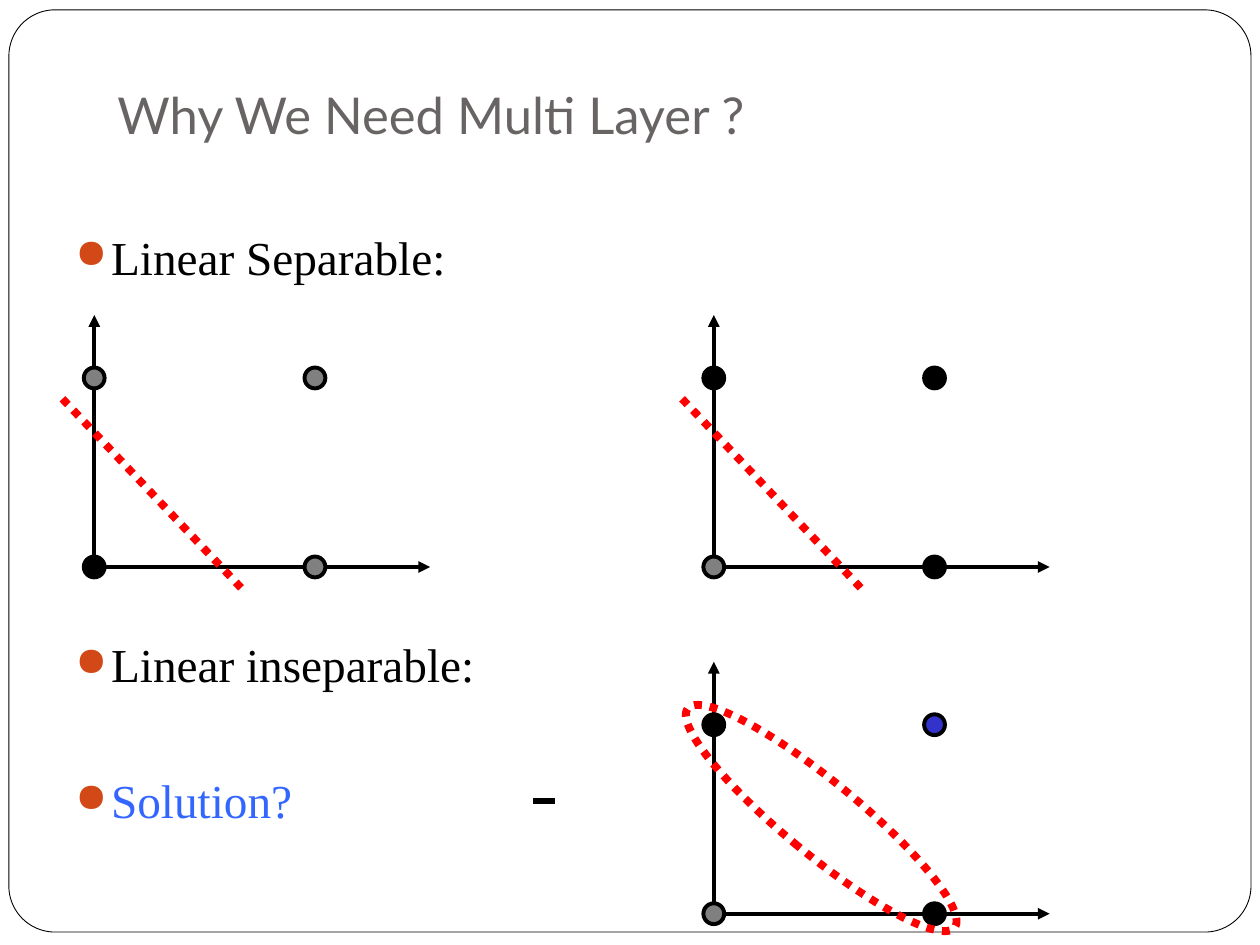
from dataclasses import dataclass

from lxml import etree
from pptx import Presentation
from pptx.dml.color import RGBColor
from pptx.enum.dml import MSO_LINE
from pptx.enum.shapes import MSO_CONNECTOR, MSO_SHAPE
from pptx.enum.text import MSO_ANCHOR, MSO_AUTO_SIZE, PP_ALIGN
from pptx.oxml.ns import qn
from pptx.util import Cm, Pt

STRAIGHT = MSO_CONNECTOR.STRAIGHT
OVAL, ROUNDED = MSO_SHAPE.OVAL, MSO_SHAPE.ROUNDED_RECTANGLE
DOTTED = MSO_LINE.ROUND_DOT  # sysDot
LEFT, BOTTOM = PP_ALIGN.LEFT, MSO_ANCHOR.BOTTOM
NO_FIT = MSO_AUTO_SIZE.NONE

BLACK = RGBColor(0x00, 0x00, 0x00)
GRAY = RGBColor(0x80, 0x80, 0x80)
INDIGO = RGBColor(0x33, 0x33, 0xCC)
RED = RGBColor(0xFF, 0x00, 0x00)
BLUE = RGBColor(0x33, 0x66, 0xFF)
ORANGE = RGBColor(0xD3, 0x48, 0x17)
TITLE_GRAY = RGBColor(0x69, 0x64, 0x64)

# Plot geometry in cm, relative to the origin of the axes
AXIS_X, AXIS_Y = 6.77, 5.08
STEP_X, STEP_Y = 4.45, 3.81
DOT = 0.42


@dataclass
class Plot:
    x: float
    y: float
    origin: RGBColor
    right: RGBColor
    top: RGBColor
    corner: RGBColor
    separable: bool = True


@dataclass
class Bullet:
    text: str
    color: RGBColor
    before: float


PLOTS = [
    Plot(1.9, 11.43, BLACK, GRAY, GRAY, GRAY),
    Plot(14.39, 11.43, GRAY, BLACK, BLACK, BLACK),
    Plot(14.39, 18.42, GRAY, BLACK, BLACK, INDIGO, separable=False),
]
BULLETS = [
    Bullet("Linear Separable:", BLACK, 0),
    Bullet("Linear inseparable:", BLACK, 200),
    Bullet("Solution?", BLUE, 44.7),
]


def add_line(s, x1: float, y1: float, x2: float, y2: float,
             color: RGBColor = BLACK, width: float = 2.25,
             dotted: bool = False, arrow: bool = False):
    line = s.shapes.add_connector(STRAIGHT, Cm(x1), Cm(y1), Cm(x2), Cm(y2))
    line.line.color.rgb = color
    line.line.width = Pt(width)
    if dotted:
        line.line.dash_style = DOTTED
    sp_pr = line._element.spPr
    if arrow:
        etree.SubElement(sp_pr.find(qn("a:ln")), qn("a:tailEnd"), type="triangle")
    etree.SubElement(sp_pr, qn("a:effectLst"))
    return line


def add_outline(s, kind, x: float, y: float, w: float, h: float,
                color: RGBColor, width: float):
    sp = s.shapes.add_shape(kind, Cm(x), Cm(y), Cm(w), Cm(h))
    sp.shadow.inherit = False
    sp.fill.background()
    sp.line.color.rgb = color
    sp.line.width = Pt(width)
    return sp


def add_dot(s, x: float, y: float, fill: RGBColor) -> None:
    sp = add_outline(s, OVAL, x - DOT / 2, y - DOT / 2, DOT, DOT, BLACK, 2.25)
    sp.fill.solid()
    sp.fill.fore_color.rgb = fill


def draw_plot(s, plot: Plot) -> None:
    x, y = plot.x, plot.y
    add_line(s, x, y, x, y - AXIS_Y, arrow=True)
    add_line(s, x, y, x + AXIS_X, y, arrow=True)
    add_dot(s, x + STEP_X, y, plot.right)
    add_dot(s, x, y - STEP_Y, plot.top)
    add_dot(s, x, y, plot.origin)
    add_dot(s, x + STEP_X, y - STEP_Y, plot.corner)
    if plot.separable:
        add_line(s, x - 0.64, y - 3.39, x + 2.96, y + 0.42, RED, 4.5, dotted=True)
    else:
        sp = add_outline(s, OVAL, x + 1.43, y - 5.41, 1.47, 6.96, RED, 4.5)
        sp.rotation = 309.4
        sp.line.dash_style = DOTTED


def add_run(p, text: str, font: str, size: float, color: RGBColor) -> None:
    r = p.add_run()
    r.text = text
    r.font.name = font
    r.font.size = Pt(size)
    r.font.color.rgb = color


def add_bullet(p, bullet: Bullet) -> None:
    p_pr = p._p.get_or_add_pPr()
    p_pr.set("marL", str(Cm(0.72)))
    p_pr.set("indent", str(-Cm(0.72)))
    bu_clr = etree.SubElement(p_pr, qn("a:buClr"))
    etree.SubElement(bu_clr, qn("a:srgbClr"), val=str(ORANGE))
    etree.SubElement(p_pr, qn("a:buSzPct"), val="85000")
    etree.SubElement(p_pr, qn("a:buChar"), char="●")
    p.line_spacing = Pt(33)
    p.space_before = Pt(bullet.before)
    add_run(p, bullet.text, "Times New Roman", 27, bullet.color)


def main() -> None:
    prs = Presentation()
    prs.slide_width, prs.slide_height = Cm(25.4), Cm(19.05)
    s = prs.slides.add_slide(prs.slide_layouts[5])

    # Frame
    frame = add_outline(s, ROUNDED, 0.18, 0.2, 25.04, 18.59, BLACK, 0.5)
    frame.adjustments[0] = 0.05

    # Title
    title = s.shapes.title
    title.left, title.top = Cm(2.11), Cm(1.47)
    title.width, title.height = Cm(21.39), Cm(1.7)
    tf = title.text_frame
    tf.auto_size = NO_FIT
    tf.vertical_anchor = BOTTOM
    tf.margin_bottom = Cm(0.25)
    p = tf.paragraphs[0]
    p.alignment = LEFT
    p.line_spacing = 1.24
    add_run(p, "Why We Need Multi Layer ?", "Lato", 29, TITLE_GRAY)

    # Bullets
    tf = s.shapes.add_textbox(Cm(1.27), Cm(4.45), Cm(11.23), Cm(15.24)).text_frame
    tf.word_wrap = True
    for i, bullet in enumerate(BULLETS):
        add_bullet(tf.add_paragraph() if i else tf.paragraphs[0], bullet)

    # Plots and the dash beside the last one
    for plot in PLOTS:
        draw_plot(s, plot)
    add_line(s, 11.18, 16.15, 10.74, 16.15, width=3)

    prs.save("out.pptx")


if __name__ == "__main__":
    main()
